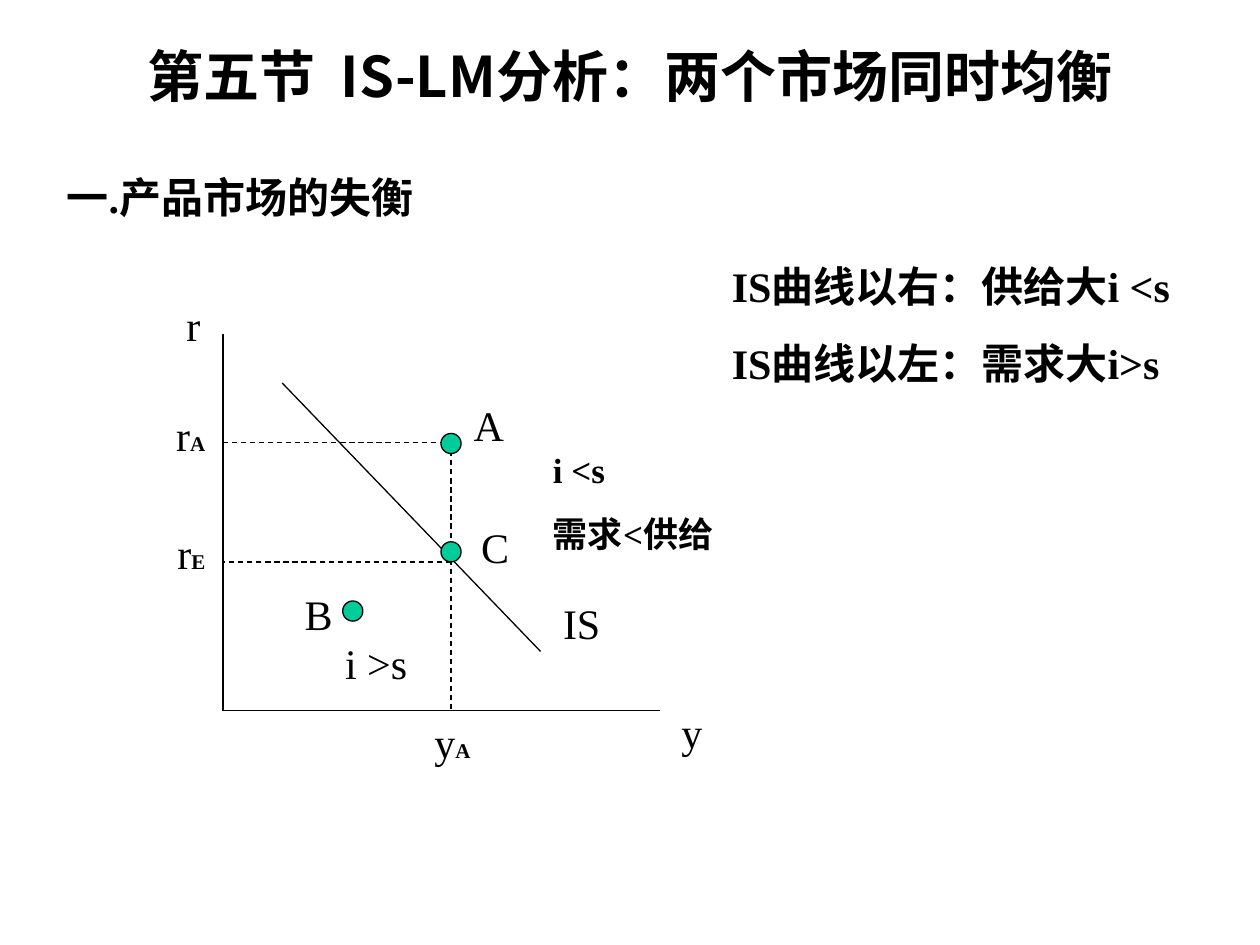
"""Build a slide on goods market imbalance around the IS curve."""
import pptx
import pptx.util
import pptx.dml.color
import pptx.enum.dml
import pptx.enum.shapes
import pptx.enum.text
import pptx.oxml
import pptx.oxml.ns

HUES = {"ink": "000000", "dot": "00CC99", "back": "FFFFFF"}
SCALE = 9144
SERIF, SANS = "Times New Roman", "Noto Sans CJK SC"


class Board:
    """Holds the style and the current slide."""

    def __init__(self, deck):
        self.slide = deck.slides.add_slide(deck.slide_layouts[5])
        fill = self.slide.background.fill
        fill.solid()
        fill.fore_color.rgb = self.hue("back")

    def hue(self, name):
        return pptx.dml.color.RGBColor.from_string(HUES[name])

    def size(self, *spans):
        return [pptx.util.Emu(span * SCALE) for span in spans]

    def run(self, para, words, points, bold, face=SERIF):
        run = para.add_run()
        run.text = words
        style = {"name": face, "size": pptx.util.Pt(points), "bold": bold}
        for key, value in style.items():
            setattr(run.font, key, value)
        run.font.color.rgb = self.hue("ink")
        east = pptx.oxml.parse_xml(
            f'<a:ea {pptx.oxml.ns.nsdecls("a")} typeface="{SANS}"/>')
        run.font._element.find(pptx.oxml.ns.qn("a:latin")).addnext(east)

    def title(self, words, *box):
        shape = self.slide.shapes.title
        for key, value in zip(("left", "top", "width", "height"), self.size(*box)):
            setattr(shape, key, value)
        frame = shape.text_frame
        frame.vertical_anchor = pptx.enum.text.MSO_ANCHOR.MIDDLE
        para = frame.paragraphs[0]
        para.alignment = pptx.enum.text.PP_ALIGN.CENTER
        self.run(para, words, 32, True, SANS)

    def text(self, lines, *box, points=24, bold=False, gap=0, sub="", wrap=True):
        frame = self.slide.shapes.add_textbox(*self.size(*box)).text_frame
        style = {"word_wrap": wrap,
                 "auto_size": pptx.enum.text.MSO_AUTO_SIZE.SHAPE_TO_FIT_TEXT}
        for key, value in style.items():
            setattr(frame, key, value)
        for rank, words in enumerate(lines.split("\n")):
            para = frame.add_paragraph() if rank else frame.paragraphs[0]
            if rank:
                para.space_before = pptx.util.Pt(gap)
            self.run(para, words, points, bold)
        if sub:
            self.run(para, sub, 12, True)

    def line(self, *ends, dash=False):
        kind = pptx.enum.shapes.MSO_CONNECTOR.STRAIGHT
        link = self.slide.shapes.add_connector(kind, *self.size(*ends))
        link.line.color.rgb = self.hue("ink")
        link.line.width = pptx.util.Pt(0.75)
        if dash:
            link.line.dash_style = pptx.enum.dml.MSO_LINE.DASH
        link._element.spPr.append(pptx.oxml.parse_xml(
            f'<a:effectLst {pptx.oxml.ns.nsdecls("a")}/>'))

    def dot(self, x, y):
        kind = pptx.enum.shapes.MSO_SHAPE.OVAL
        shape = self.slide.shapes.add_shape(kind, *self.size(x - 8, y - 8, 16, 16))
        shape.shadow.inherit = False
        shape.fill.solid()
        shape.fill.fore_color.rgb = self.hue("dot")
        shape.line.color.rgb = self.hue("ink")
        shape.line.width = pptx.util.Pt(0.75)


def main():
    deck = pptx.Presentation()
    deck.slide_width, deck.slide_height = pptx.util.Inches(10), pptx.util.Inches(7.5)
    board = Board(deck)
    left, base, mid, high, low = 177, 564, 358, 351, 446

    board.title("第五节  IS-LM分析：两个市场同时均衡", 75, 28, 850, 63)
    board.text("一.产品市场的失衡", 43, 131, 442, 50, bold=True)
    board.text("IS曲线以右：供给大i <s\nIS曲线以左：需求大i>s",
               571, 202, 402, 111, bold=True, gap=15)

    board.line(left, 265, left, base)
    board.line(left, base, 524, base)
    board.line(224, 304, 429, 517)
    for ends in ((left, high, mid, high), (mid, high, mid, base),
                 (mid, low, left, low)):
        board.line(*ends, dash=True)

    for words, x, y, wide in (("r", 138, 233, 39), ("y", 531, 556, 47),
                              ("IS", 437, 469, 71), ("A", 366, 312, 39),
                              ("B", 232, 462, 39), ("i >s", 264, 501, 86)):
        board.text(words, x, y, wide, 50)
    for words, sub, x, y, wide in (("r", "A", 130, 320, 47),
                                   ("r", "E", 131, 414, 47),
                                   ("y", "A", 335, 564, 63)):
        board.text(words, x, y, wide, 50, sub=sub)
    board.text("C", 372, 409, 42, 50, wrap=False)
    board.text("i <s\n需求<供给", 429, 351, 165, 94, points=20, bold=True, gap=12.5)

    for spot in ((mid, high + 1), (280, 485), (mid, 438)):
        board.dot(*spot)
    deck.save("out.pptx")


if __name__ == "__main__":
    main()
